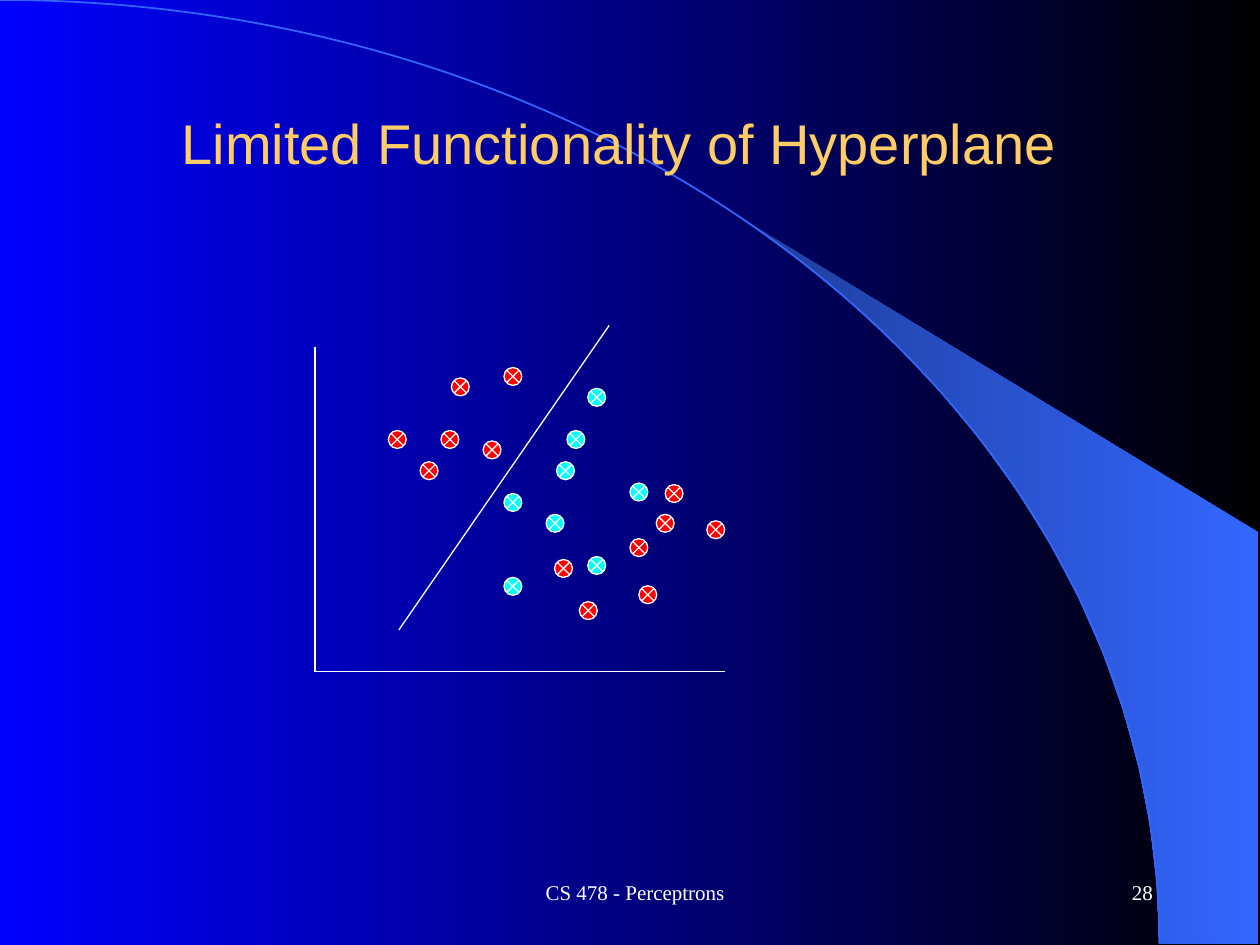
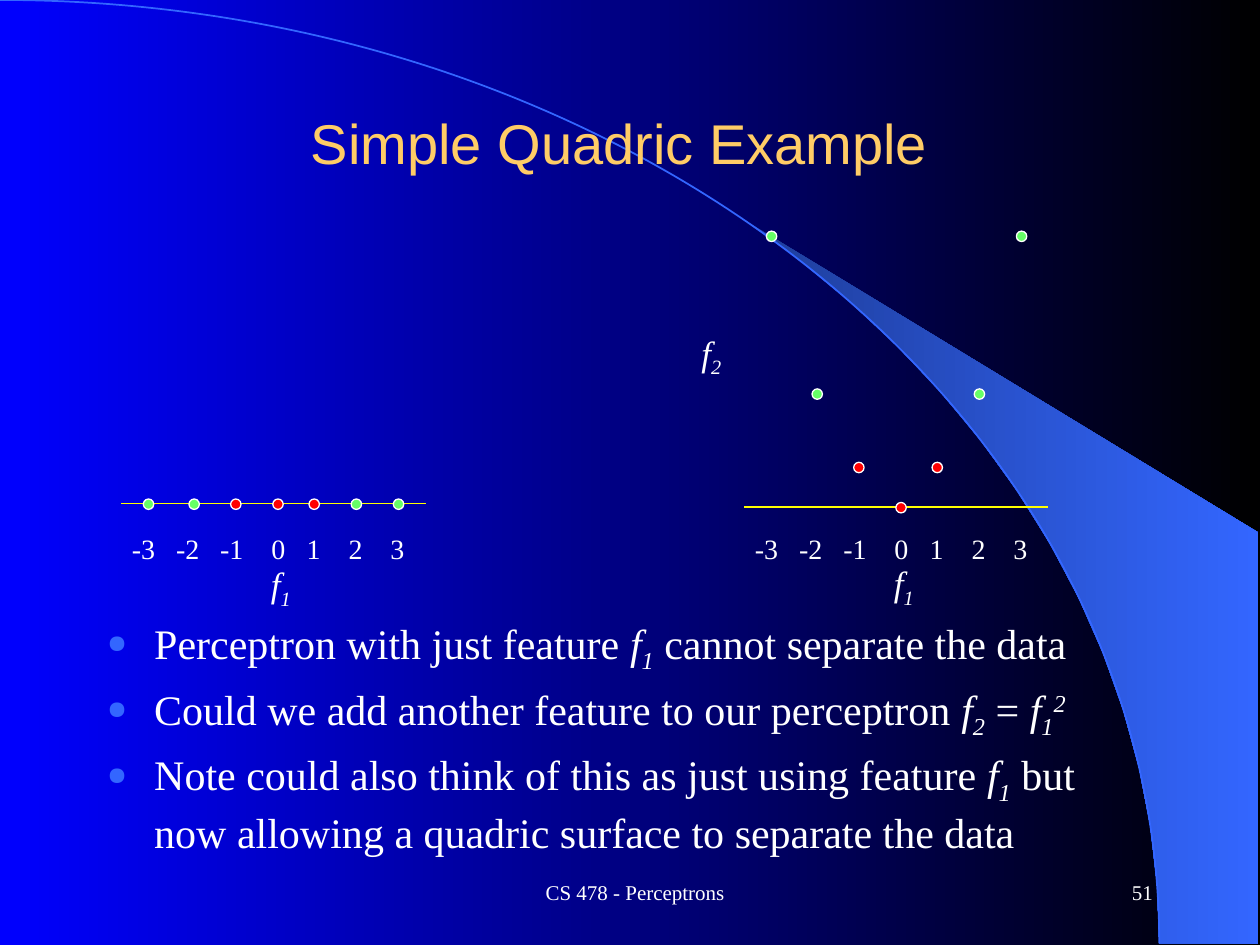
from dataclasses import dataclass
from math import cos, radians, sin
from typing import NamedTuple

from lxml import etree
from pptx import Presentation
from pptx.dml.color import RGBColor
from pptx.enum.shapes import MSO_CONNECTOR, MSO_SHAPE
from pptx.enum.text import MSO_ANCHOR, MSO_AUTO_SIZE, PP_ALIGN
from pptx.oxml.ns import qn
from pptx.util import Cm, Pt

STRAIGHT = MSO_CONNECTOR.STRAIGHT
CIRCLE, CROSSED = MSO_SHAPE.OVAL, MSO_SHAPE.FLOWCHART_SUMMING_JUNCTION
TOP, MIDDLE = MSO_ANCHOR.TOP, MSO_ANCHOR.MIDDLE
LEFT, CENTER, RIGHT = PP_ALIGN.LEFT, PP_ALIGN.CENTER, PP_ALIGN.RIGHT
NO_FIT = MSO_AUTO_SIZE.NONE

# Shared style
WHITE, BLACK, RED, YELLOW = "FFFFFF", "000000", "FF0000", "FFFF00"
CYAN, GREEN, GOLD = "00FFFF", "66FF66", "FFCC66"
BLUE, ACCENT, ACCENT_DARK = "0000FF", "3366FF", "1E3D99"
SERIF, SANS = "Times New Roman", "Arial"
FOOTER = "CS 478 - Perceptrons"
TITLE_ONLY = 5
ARC_WIDTH, ARC_HEIGHT = 23.37, 19.02
WEDGE_ANGLE, WEDGE_STEPS = 39.8, 14

Point = tuple[float, float]


class Box(NamedTuple):
    left: float
    top: float
    width: float
    height: float

    def lengths(self) -> list[int]:
        return [Cm(v) for v in self]


class Run(NamedTuple):
    text: str
    italic: bool = False
    baseline: int = 0


class Dots(NamedTuple):
    color: str
    corners: list[Point]


@dataclass
class FeaturePlot:
    shift: float
    axis: tuple[float, float]
    axis_y: float
    dot_tops: list[float]  # by |f1|
    label_top: float


TITLE_BOX = Box(1.69, 1.7, 21.59, 2.34)
FOOTER_BOX = Box(8.04, 17.35, 9.53, 1.27)
NUMBER_BOX = Box(18.21, 17.35, 5.28, 1.27)


def rgb(color: str) -> RGBColor:
    return RGBColor.from_string(color)


def set_gradient(fill, start: str, end: str) -> None:
    fill.gradient()
    fill.gradient_angle = 0
    for stop, color in zip(fill.gradient_stops, (start, end)):
        stop.color.rgb = rgb(color)


def set_line(line, color: str, width: float = 0.75) -> None:
    line.color.rgb = rgb(color)
    line.width = Pt(width)


# Text
def add_run(p, run: Run, size: float, font: str = SERIF, color: str = WHITE) -> None:
    r = p.add_run()
    r.text = run.text
    r.font.size, r.font.name = Pt(size), font
    r.font.color.rgb = rgb(color)
    if run.italic:
        r.font.italic = True
    if run.baseline:
        r.font._element.set("baseline", str(run.baseline * 1000))


def feature(index: str) -> list[Run]:
    return [Run("f", True), Run(index, True, -25)]


def add_text(slide, box: Box, paragraphs: list[list[Run]], size: float,
             align=LEFT, anchor=TOP):
    tf = slide.shapes.add_textbox(*box.lengths()).text_frame
    tf.word_wrap = True
    tf.vertical_anchor = anchor
    for i, runs in enumerate(paragraphs):
        p = tf.add_paragraph() if i else tf.paragraphs[0]
        p.alignment = align
        for run in runs:
            add_run(p, run, size)
    return tf


def add_bullet(p) -> None:
    p.space_before = Pt(4.8)
    ppr = p._p.get_or_add_pPr()
    ppr.set("marL", str(Cm(0.95)))
    ppr.set("indent", str(-Cm(0.95)))
    color = etree.SubElement(ppr, qn("a:buClr"))
    etree.SubElement(color, qn("a:srgbClr"), val=ACCENT)
    etree.SubElement(ppr, qn("a:buSzPct"), val="60000")
    etree.SubElement(ppr, qn("a:buChar"), char="●")


def add_tabs(p, stops: list[float]) -> None:
    tabs = etree.SubElement(p._p.get_or_add_pPr(), qn("a:tabLst"))
    for stop in stops:
        etree.SubElement(tabs, qn("a:tab"), pos=str(Cm(stop)), algn="l")


# Lines and dots
def add_line(slide, start: Point, end: Point, color: str = WHITE) -> None:
    ends = [Cm(v) for v in (*start, *end)]
    line = slide.shapes.add_connector(STRAIGHT, *ends)
    set_line(line.line, color)
    etree.SubElement(line._element.spPr, qn("a:effectLst"))


def add_dot(slide, kind, corner: Point, size: float, color: str) -> None:
    sp = slide.shapes.add_shape(kind, *Box(*corner, size, size).lengths())
    sp.shadow.inherit = False
    sp.fill.solid()
    sp.fill.fore_color.rgb = rgb(color)
    set_line(sp.line, WHITE)


# Master: gradient background, wedge and arc
def arc_points(first_angle: float, steps: int) -> list[Point]:
    step = (90 - first_angle) / steps
    angles = [radians(first_angle + i * step) for i in range(steps + 1)]
    return [(ARC_WIDTH * sin(a), ARC_HEIGHT * (1 - cos(a))) for a in angles]


def add_outline(slide, points: list[Point], close: bool):
    start, *rest = [(Cm(x), Cm(y)) for x, y in points]
    builder = slide.shapes.build_freeform(*start)
    builder.add_line_segments(rest, close=close)
    sp = builder.convert_to_shape()
    sp.shadow.inherit = False
    return sp


def bend(sp) -> None:
    """Turn the three line segments of an outline into one Bézier curve."""
    segments = list(sp.element.iter(qn("a:lnTo")))
    curve = etree.SubElement(segments[0].getparent(), qn("a:cubicBezTo"))
    for segment in segments:
        curve.append(segment[0])
        segment.getparent().remove(segment)


def decorate_master(prs, slide) -> None:
    master = prs.slide_master
    set_gradient(master.background.fill, BLUE, BLACK)

    corners = [(25.37, ARC_HEIGHT), (25.37, 10.74)]
    wedge_arc = arc_points(WEDGE_ANGLE, WEDGE_STEPS)
    wedge = add_outline(slide, corners + wedge_arc, True)
    set_gradient(wedge.fill, ACCENT_DARK, ACCENT)
    wedge.line.fill.background()

    controls = [(0, 0), (12.9, 0), (ARC_WIDTH, 8.51), (ARC_WIDTH, ARC_HEIGHT)]
    arc = add_outline(slide, controls, False)
    bend(arc)
    arc.fill.background()
    set_line(arc.line, ACCENT, 1)

    for position, sp in enumerate((wedge, arc), start=2):
        master.shapes.element.insert(position, sp.element)


def new_slide(prs, title: str, number: int):
    slide = prs.slides.add_slide(prs.slide_layouts[TITLE_ONLY])
    sp = slide.shapes.title
    sp.left, sp.top, sp.width, sp.height = TITLE_BOX.lengths()
    tf = sp.text_frame
    tf.auto_size, tf.word_wrap, tf.vertical_anchor = NO_FIT, True, MIDDLE
    tf.paragraphs[0].alignment = CENTER
    add_run(tf.paragraphs[0], Run(title), 32, SANS, GOLD)
    add_text(slide, FOOTER_BOX, [[Run(FOOTER)]], 12, CENTER, MIDDLE)
    add_text(slide, NUMBER_BOX, [[Run(str(number))]], 12, RIGHT, MIDDLE)
    return slide


# Slide: hyperplane
ORIGIN = (6.35, 13.54)
CLASSES = [
    Dots(CYAN, [(11.85, 7.83), (10.16, 9.95), (11.22, 9.31), (11.43, 8.68),
                (10.16, 11.64), (11.01, 10.37), (12.7, 9.74), (11.85, 11.22)]),
    Dots(RED, [(8.47, 9.31), (9.1, 7.62), (13.41, 9.77), (9.74, 8.89),
               (7.83, 8.68), (10.16, 7.41), (8.89, 8.68), (14.25, 10.5),
               (13.23, 10.37), (12.88, 11.81), (12.7, 10.86), (11.68, 12.13),
               (11.18, 11.28)]),
]


def draw_hyperplane(slide) -> None:
    add_line(slide, (6.35, 6.99), ORIGIN)
    add_line(slide, ORIGIN, (14.61, 13.54))
    add_line(slide, (8.04, 12.7), (12.28, 6.56))
    for dots in CLASSES:
        for corner in dots.corners:
            add_dot(slide, CROSSED, corner, 0.36, dots.color)


# Slide: quadric example
F1_VALUES = range(-3, 4)
DOT_LEFTS = [2.89, 3.81, 4.65, 5.5, 6.23, 7.08, 7.93]
TICK_STOPS = [0.89, 1.78, 2.81, 3.52, 4.37, 5.21]
PLOTS = [
    FeaturePlot(0, (2.44, 8.59), 10.15, [10.06] * 4, 11.22),
    FeaturePlot(12.56, (15.0, 21.13), 10.22, [10.13, 9.32, 7.84, 4.66], 11.2),
]
POINTS = [
    [Run("Perceptron with just feature "), *feature("1"),
     Run(" cannot separate the data")],
    [Run("Could we add another feature to our perceptron "), *feature("2"),
     Run(" = "), *feature("1"), Run("2", True, 30)],
    [Run("Note could also think of this as just using feature "), *feature("1"),
     Run(" but now allowing a quadric surface to separate the data")],
]


def add_feature_label(slide, index: str, left: float, top: float) -> None:
    add_text(slide, Box(left, top, 1.14, 1.12), [feature(index)], 20)


def draw_feature_plot(slide, plot: FeaturePlot) -> None:
    start, end = plot.axis
    add_line(slide, (start, plot.axis_y), (end, plot.axis_y), YELLOW)
    ticks = "\t".join(str(value) for value in F1_VALUES)
    box = Box(2.41 + plot.shift, 10.59, 6.4, 0.94)
    tf = add_text(slide, box, [[Run(ticks)]], 16)
    add_tabs(tf.paragraphs[0], TICK_STOPS)
    for value, left in zip(F1_VALUES, DOT_LEFTS):
        corner = (left + plot.shift, plot.dot_tops[abs(value)])
        add_dot(slide, CIRCLE, corner, 0.21, RED if abs(value) <= 1 else GREEN)
    add_feature_label(slide, "1", 5.21 + plot.shift, plot.label_top)


def draw_quadric(slide) -> None:
    tf = add_text(slide, Box(1.91, 12.32, 21.59, 4.6), POINTS, 24)
    for p in tf.paragraphs:
        add_bullet(p)
    for plot in PLOTS:
        draw_feature_plot(slide, plot)
    add_feature_label(slide, "2", 13.89, 6.55)


def main() -> None:
    prs = Presentation()
    prs.slide_width, prs.slide_height = Cm(25.4), Cm(19.05)
    hyperplane = new_slide(prs, "Limited Functionality of Hyperplane", 28)
    decorate_master(prs, hyperplane)
    draw_hyperplane(hyperplane)
    draw_quadric(new_slide(prs, "Simple Quadric Example", 51))
    prs.save("out.pptx")


if __name__ == "__main__":
    main()
